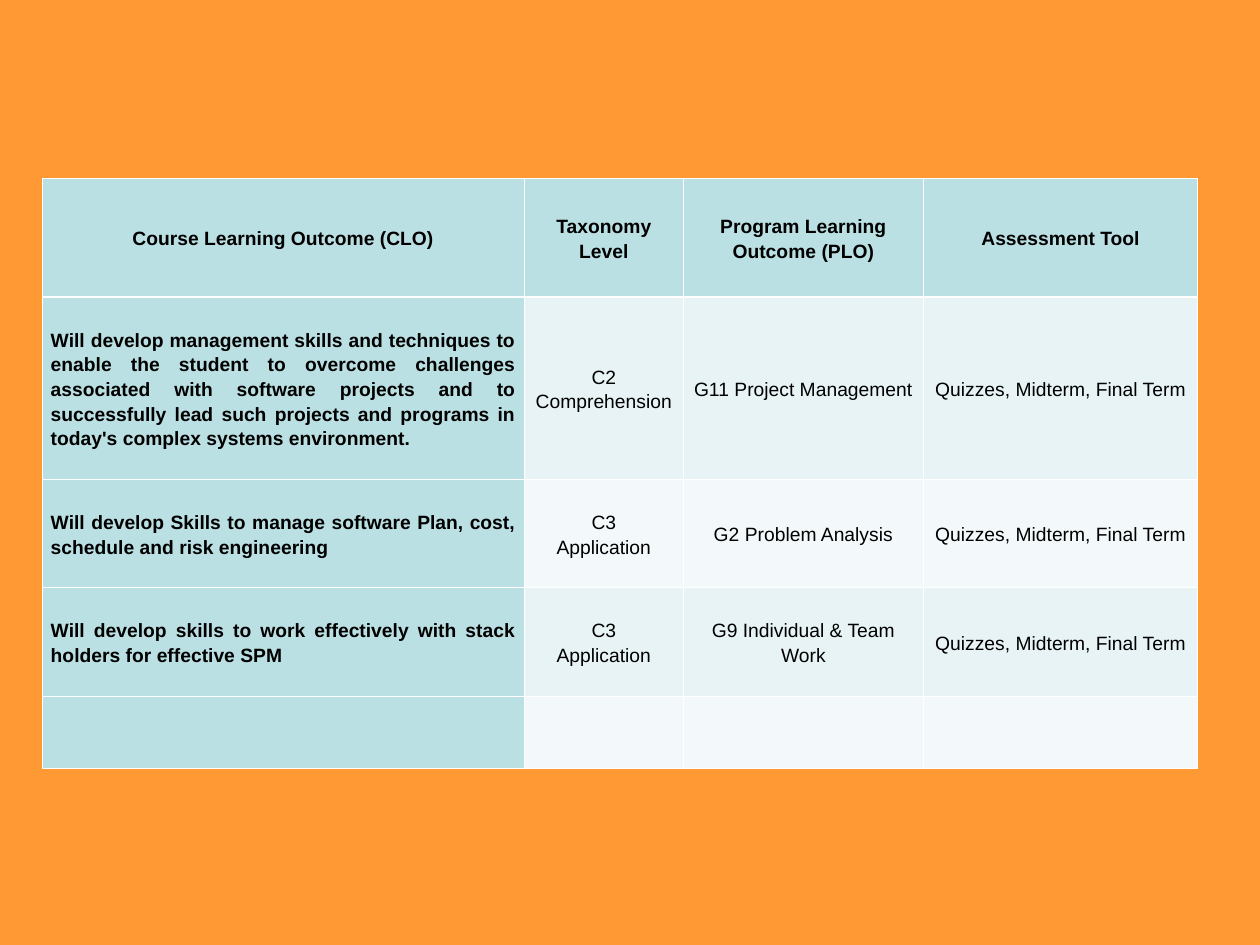
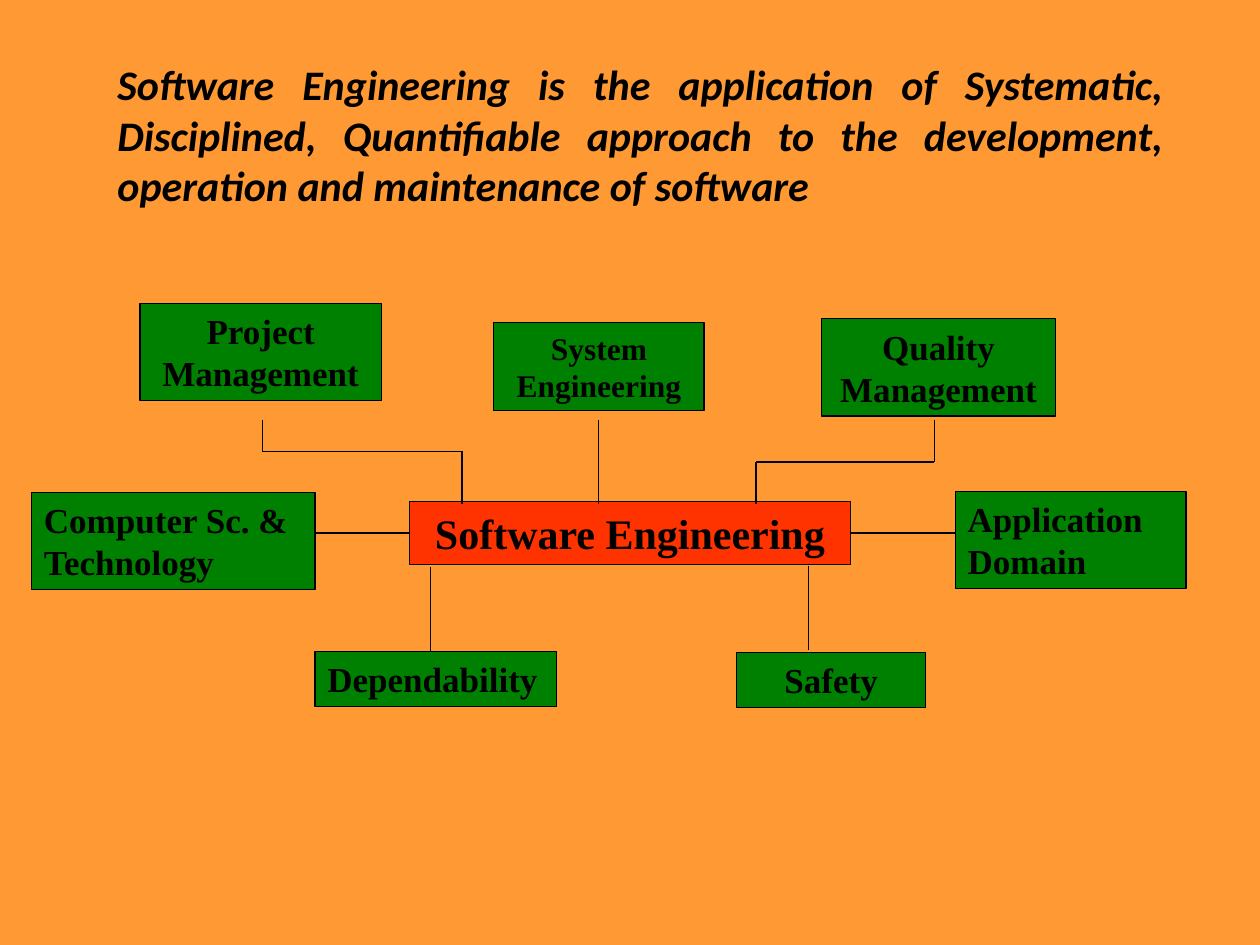
import itertools

import pptx
import pptx.dml.color
import pptx.enum.shapes
import pptx.enum.text
import pptx.oxml
import pptx.oxml.ns
import pptx.util

Pt = pptx.util.Pt
ALIGN = pptx.enum.text.PP_ALIGN
ANCHOR = pptx.enum.text.MSO_ANCHOR
SERIF = "Times New Roman"

ORANGE, GREEN, RED = "FF9933", "008000", "FF3300"
BLACK, WHITE = "000000", "FFFFFF"
TEAL, BAND_DARK, BAND_LIGHT = "BBE0E3", "E7F3F4", "F3F9FA"

TABLE_LEFT, TABLE_TOP = 24, 102
COLUMN_WIDTHS = [275.7, 90.7, 137.4, 156.6]
ROW_HEIGHTS = [67.7, 104.2, 62, 62, 41.1]
TOOLS = "Quizzes, Midterm, Final Term"
OUTCOMES = [
    ["Course Learning Outcome (CLO)", "Taxonomy Level",
     "Program Learning Outcome (PLO)", "Assessment Tool"],
    ["Will develop management skills and techniques to enable the student to "
     "overcome challenges associated with software projects and to successfully "
     "lead such projects and programs in today's complex systems environment.",
     "C2\nComprehension", "G11 Project Management", TOOLS],
    ["Will develop Skills to manage software Plan, cost, schedule and risk engineering",
     "C3\nApplication", "G2 Problem Analysis", TOOLS],
    ["Will develop skills to work effectively with stack holders for effective SPM",
     "C3\nApplication", "G9 Individual & Team Work", TOOLS],
    ["", "", "", ""],
]

DEFINITION = ("Software Engineering is the application of Systematic, Disciplined, "
              "Quantifiable approach to the development, operation and maintenance "
              "of software")

# text, left, top, width, height, size, alignment
FIELDS = [
    ("Project Management", 80, 173.5, 138, 55.5, 20, ALIGN.CENTER),
    ("System Engineering", 282.2, 184.3, 120.2, 50.4, 18, ALIGN.CENTER),
    ("Quality Management", 469.4, 182.2, 133.9, 55.5, 20, ALIGN.CENTER),
    ("Computer Sc. & Technology", 18, 281.3, 162, 55.5, 20, ALIGN.LEFT),
    ("Application Domain", 545.8, 280.8, 132, 55.5, 20, ALIGN.LEFT),
    ("Dependability", 180, 372.2, 138, 31.7, 20, ALIGN.LEFT),
    ("Safety", 421, 372.8, 108, 31.7, 20, ALIGN.CENTER),
]
CORE_LEFT, CORE_TOP, CORE_WIDTH, CORE_HEIGHT = 234, 286.6, 252, 36
CORE_RIGHT, CORE_MIDDLE = CORE_LEFT + CORE_WIDTH, CORE_TOP + CORE_HEIGHT / 2

# corner points of each route between a field and the core
ROUTES = [
    [(150, 240), (150, 258), (264, 258), (264, 288)],
    [(342, 240), (342, 288)],
    [(534, 240), (534, 264), (432, 264), (432, 288)],
    [(246, 324), (246, 372)],
    [(462, 323.5), (462, 371.5)],
]


def rgb(code):
    return pptx.dml.color.RGBColor.from_string(code)


def paint(target, code):
    target.fill.solid()
    target.fill.fore_color.rgb = rgb(code)


def add_slide(prs):
    s = prs.slides.add_slide(prs.slide_layouts[6])
    paint(s.background, ORANGE)
    return s


def write(tf, text, size, font, align, bold=True, italic=False, spacing=None):
    """Fill a text frame, one paragraph per line of text."""
    tf.word_wrap = True
    for i, line in enumerate(text.split("\n")):
        p = tf.paragraphs[0] if i == 0 else tf.add_paragraph()
        p.alignment = align
        if spacing:
            p.line_spacing = spacing
        r = p.add_run()
        r.text = line
        r.font.size, r.font.name = Pt(size), font
        r.font.bold, r.font.italic = bold, italic
        r.font.color.rgb = rgb(BLACK)


def add_border(cell, side, width):
    """Draw one cell border; side is L, R, T or B. Call before filling the cell."""
    cell._tc.get_or_add_tcPr().append(pptx.oxml.parse_xml(
        f'<a:ln{side} {pptx.oxml.ns.nsdecls("a")} w="{Pt(width)}"><a:solidFill>'
        f'<a:srgbClr val="{WHITE}"/></a:solidFill></a:ln{side}>'))


def style_cell(cell, row, col):
    heading = row == 0 or col == 0
    thick_side = {0: "B", 1: "T"}.get(row)
    for side in "LRTB":
        add_border(cell, side, 1.5 if side == thick_side else 0.45)
    paint(cell, TEAL if heading else BAND_DARK if row % 2 else BAND_LIGHT)
    cell.vertical_anchor = ANCHOR.MIDDLE
    cell.margin_left = cell.margin_right = Pt(5)
    cell.margin_top = cell.margin_bottom = Pt(3.6)
    text = OUTCOMES[row][col]
    if text:
        align = ALIGN.JUSTIFY if row and col == 0 else ALIGN.CENTER
        write(cell.text_frame, text, 11, "Arial", align, bold=heading, spacing=1.15)


def add_outcome_table(s):
    table = s.shapes.add_table(
        len(ROW_HEIGHTS), len(COLUMN_WIDTHS), Pt(TABLE_LEFT), Pt(TABLE_TOP),
        Pt(sum(COLUMN_WIDTHS)), Pt(sum(ROW_HEIGHTS))).table
    table.horz_banding = False
    for column, width in zip(table.columns, COLUMN_WIDTHS):
        column.width = Pt(width)
    for row, height in zip(table.rows, ROW_HEIGHTS):
        row.height = Pt(height)
    for row, col in itertools.product(range(len(ROW_HEIGHTS)), range(len(COLUMN_WIDTHS))):
        style_cell(table.cell(row, col), row, col)


def add_box(s, text, left, top, width, height, size, align, fill=GREEN):
    sp = s.shapes.add_shape(pptx.enum.shapes.MSO_SHAPE.RECTANGLE,
                            Pt(left), Pt(top), Pt(width), Pt(height))
    sp.shadow.inherit = False
    paint(sp, fill)
    sp.line.color.rgb = rgb(BLACK)
    sp.line.width = Pt(0.75)
    write(sp.text_frame, text, size, SERIF, align)
    sp.text_frame.vertical_anchor = ANCHOR.TOP
    sp.text_frame.auto_size = pptx.enum.text.MSO_AUTO_SIZE.SHAPE_TO_FIT_TEXT
    return sp


def add_line(s, start, end):
    line = s.shapes.add_connector(pptx.enum.shapes.MSO_CONNECTOR.STRAIGHT,
                                  *map(Pt, start + end))
    line.line.color.rgb = rgb(BLACK)
    line.line.width = Pt(0.75)
    line._element.spPr.append(
        pptx.oxml.parse_xml(f'<a:effectLst {pptx.oxml.ns.nsdecls("a")}/>'))
    return line


def add_definition(s):
    tf = s.shapes.add_textbox(Pt(60), Pt(30), Pt(612), Pt(122.4)).text_frame
    write(tf, DEFINITION, 24, "Calibri", ALIGN.JUSTIFY, italic=True)


def add_field_diagram(s):
    for field in FIELDS:
        add_box(s, *field)
    core = add_box(s, "Software Engineering", CORE_LEFT, CORE_TOP, CORE_WIDTH,
                   CORE_HEIGHT, 24, ALIGN.CENTER, RED)
    for route in ROUTES:
        for start, end in itertools.pairwise(route):
            add_line(s, start, end)
    for side, core_x, field_x in [(1, CORE_LEFT, 180), (3, CORE_RIGHT, 545.8)]:
        line = add_line(s, (core_x, CORE_MIDDLE), (field_x, CORE_MIDDLE))
        line.begin_connect(core, side)


def main():
    prs = pptx.Presentation()
    prs.slide_width, prs.slide_height = Pt(720), Pt(540)
    add_outcome_table(add_slide(prs))
    s = add_slide(prs)
    add_definition(s)
    add_field_diagram(s)
    prs.save("out.pptx")


if __name__ == "__main__":
    main()
